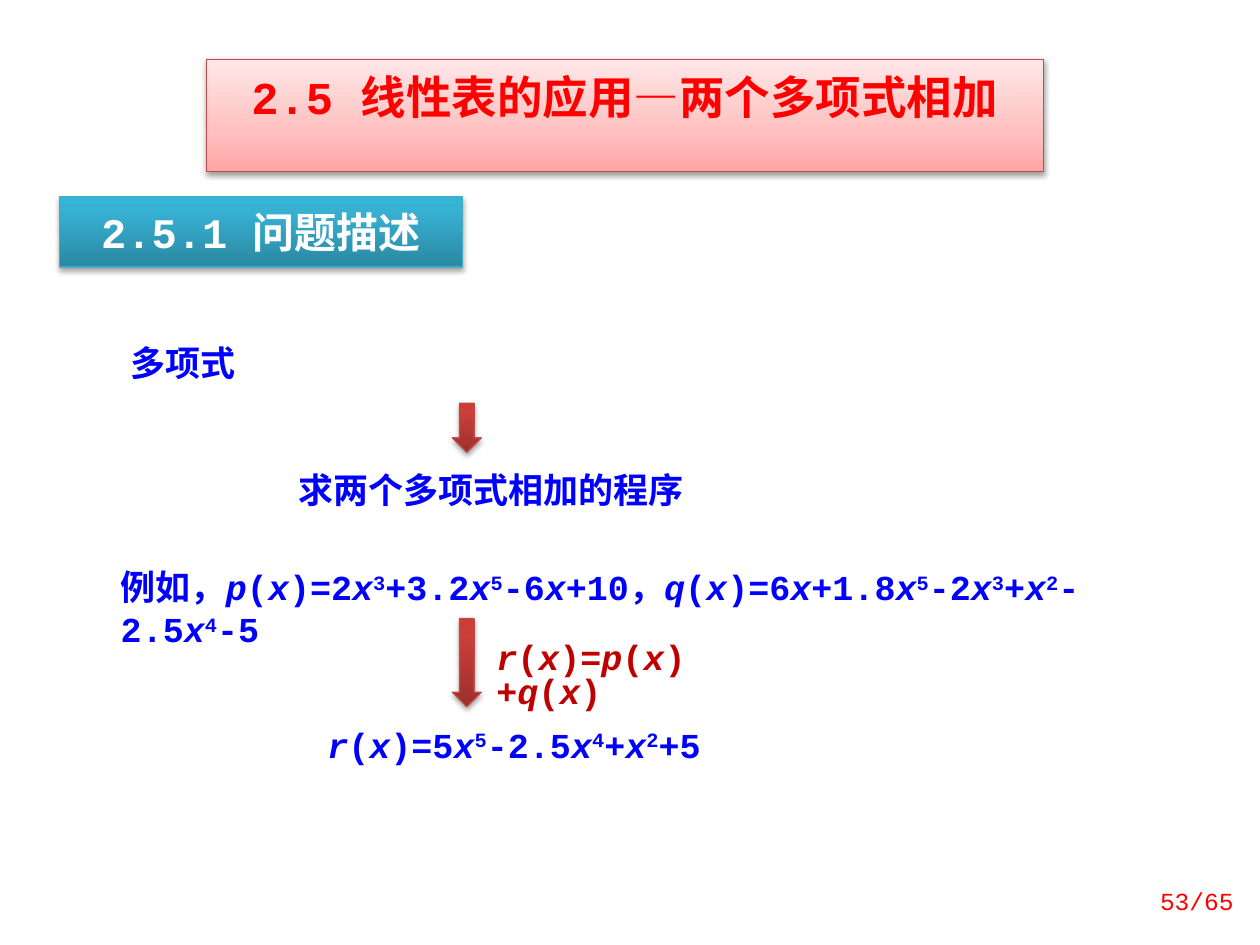
import itertools
import lxml.etree
import pptx
import pptx.dml.color
import pptx.enum.shapes
import pptx.enum.text
import pptx.oxml
import pptx.oxml.ns
import pptx.util

Inches, Pt = pptx.util.Inches, pptx.util.Pt
qn = pptx.oxml.ns.qn
ALIGN = pptx.enum.text.PP_ALIGN
ANCHOR = pptx.enum.text.MSO_ANCHOR
FIT = pptx.enum.text.MSO_AUTO_SIZE.SHAPE_TO_FIT_TEXT
rgb = pptx.dml.color.RGBColor.from_string

RED = [(0, "9C2F2D"), (80, "CB3E3A"), (100, "CE3B37")]
PINK = [(0, "FFA6A5"), (35, "FFC0BF"), (100, "FFE7E7")]
TEAL = [(0, "2A88A2"), (80, "37B1D2"), (100, "34B4D6")]


def paint(shape, stops, edge, alpha=35, drop=1.8):
    """Give a shape an upward gradient, a thin edge and a soft shadow."""
    shape.fill.gradient()
    shape.fill.gradient_angle = 90
    shape.line.color.rgb = rgb(edge)
    shape.line.width = Pt(0.75)
    shape.shadow.inherit = False
    props = shape._element.spPr
    ramp = props.find(".//" + qn("a:gsLst"))
    ramp.clear()
    for pos, tint in stops:
        stop = lxml.etree.SubElement(ramp, qn("a:gs"), pos=str(pos * 1000))
        lxml.etree.SubElement(stop, qn("a:srgbClr"), val=tint)
    shade = lxml.etree.SubElement(
        props.find(qn("a:effectLst")), qn("a:outerShdw"),
        blurRad=str(Pt(3.1)), dist=str(Pt(drop)), dir="5400000", rotWithShape="0")
    tint = lxml.etree.SubElement(shade, qn("a:srgbClr"), val="000000")
    lxml.etree.SubElement(tint, qn("a:alpha"), val=str(alpha * 1000))


def write(shape, text, size, color, bold=True, font="Courier New"):
    """Write text with italic variables; ^ raises the digit after it."""
    frame = shape.text_frame
    frame.word_wrap = True
    frame.vertical_anchor = ANCHOR.TOP
    para = frame.paragraphs[0]
    marks = [(char, char in "pqrx", last == "^")
             for last, char in zip(" " + text, text) if char != "^"]
    for (slant, raised), group in itertools.groupby(marks, lambda mark: mark[1:]):
        run = para.add_run()
        run.text = "".join(mark[0] for mark in group)
        look = {"name": font, "size": Pt(size), "bold": bold, "italic": slant}
        for key, value in look.items():
            setattr(run.font, key, value)
        run.font.color.rgb = rgb(color)
        props = run._r.get_or_add_rPr()
        lxml.etree.SubElement(props, qn("a:ea"), typeface="Noto Sans CJK SC")
        if raised:
            props.set("baseline", "30000")
    return para


deck = pptx.Presentation()
deck.slide_width, deck.slide_height = Inches(10), Inches(7.5)
slide = deck.slides.add_slide(deck.slide_layouts[5])
shapes = slide.shapes

# Headings
title = shapes.title
place = {"left": 1.64, "top": 0.47, "width": 6.64, "height": 0.6}
for key, value in place.items():
    setattr(title, key, Inches(value))
paint(title, PINK, "BF4C48", 38, 1.6)

KIND = pptx.enum.shapes.MSO_SHAPE
head = shapes.add_shape(KIND.RECTANGLE, Inches(0.47), Inches(1.56), Inches(3.2), Inches(0.56))
paint(head, TEAL, "46AAC5")

for box, text, size, color in [
    (title, "2.5 线性表的应用—两个多项式相加", 26, "FF0000"),
    (head, "2.5.1 问题描述", 24, "FFFFFF"),
]:
    write(box, text, size, color).alignment = ALIGN.CENTER
    box.text_frame.margin_top = box.text_frame.margin_bottom = Inches(0.08)
    box.text_frame.auto_size = FIT

# Arrows
for top, height in [(3.2, 0.39), (4.91, 0.7)]:
    arrow = shapes.add_shape(KIND.DOWN_ARROW, Inches(3.59), Inches(top), Inches(0.23), Inches(height))
    paint(arrow, RED, "BF4C48")

# Statements and formulas
for left, top, width, height, text, color, font, space in [
    (0.94, 2.66, 1.33, 0.44, "多项式", "0000FF", "Courier New", None),
    (2.27, 3.67, 3.67, 0.44, "求两个多项式相加的程序", "0000FF", "Noto Sans CJK SC", None),
    (0.86, 4.44, 8.59, 0.44, "例如，p(x)=2x^3+3.2x^5-6x+10，q(x)=6x+1.8x^5-2x^3+x^2-2.5x^4-5",
     "0000FF", "Courier New", None),
    (2.5, 5.69, 3.83, 0.44, "r(x)=5x^5-2.5x^4+x^2+5", "0000FF", "Courier New", None),
    (3.84, 5.06, 2.19, 0.37, "r(x)=p(x)+q(x)", "C00000", "Courier New", 0.8),
]:
    box = shapes.add_textbox(Inches(left), Inches(top), Inches(width), Inches(height))
    write(box, text, 20, color, font=font).line_spacing = space
    box.text_frame.auto_size = FIT

# Page number
page = shapes.add_textbox(Inches(8.98), Inches(6.95), Inches(0.91), Inches(0.4))
write(page, "53/65", 14, "FF0000", bold=False).alignment = ALIGN.RIGHT
page.text_frame.vertical_anchor = ANCHOR.MIDDLE

deck.save("out.pptx")
